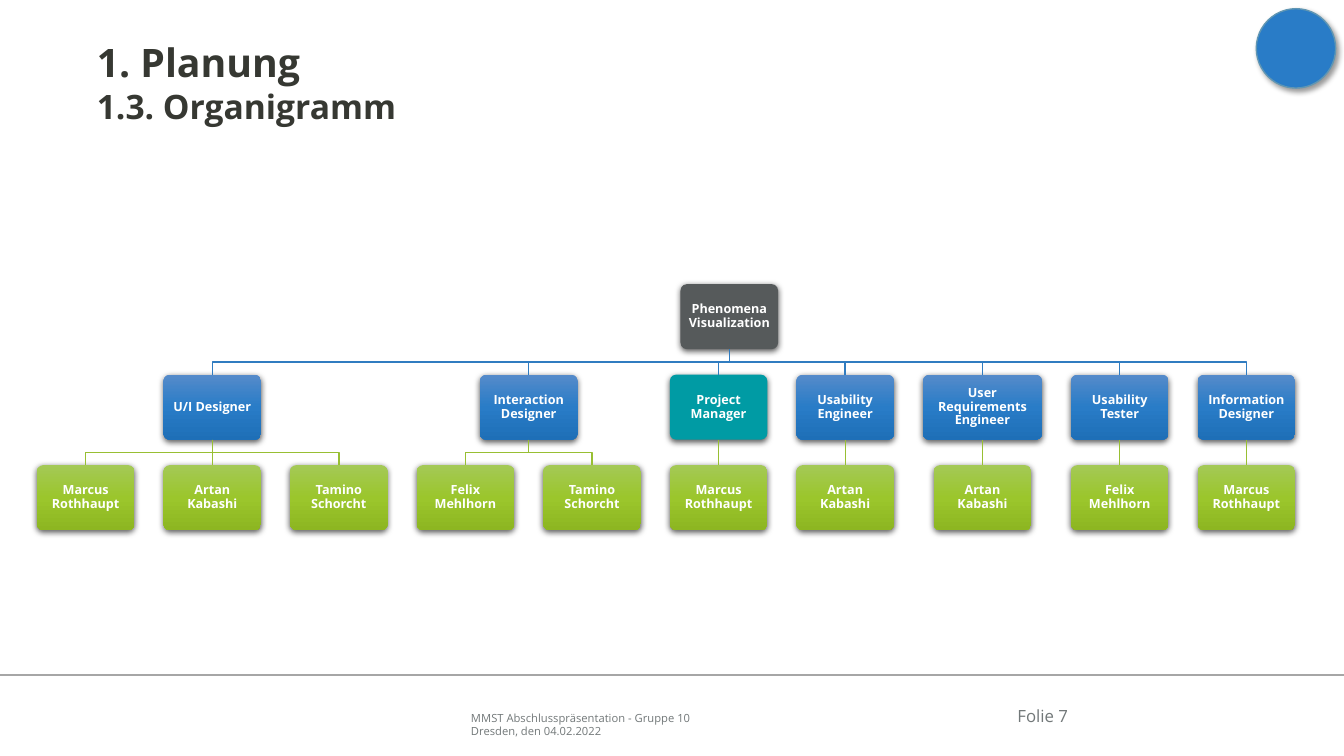
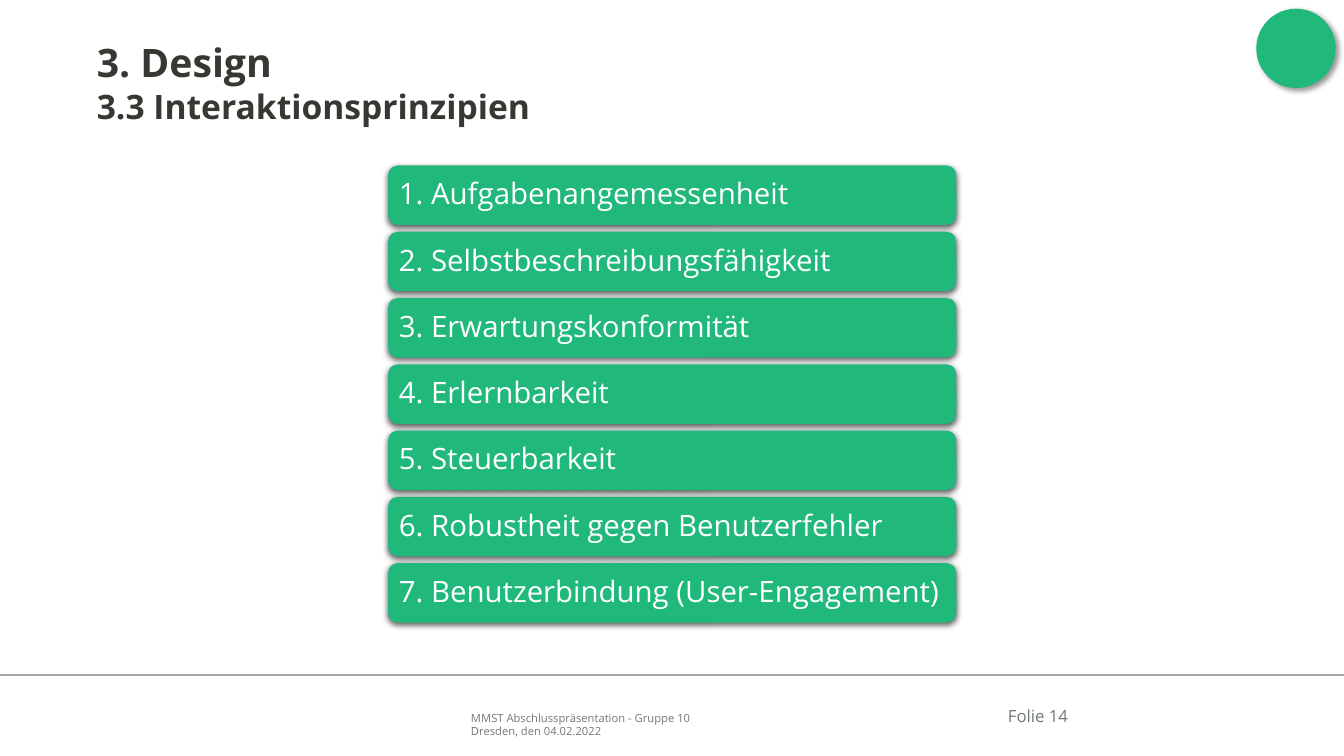
from copy import deepcopy
from dataclasses import dataclass

from lxml.etree import SubElement
from pptx import Presentation
from pptx.dml.color import RGBColor as RGB
from pptx.enum.shapes import MSO_CONNECTOR as LINK, MSO_SHAPE as KIND
from pptx.enum.text import MSO_ANCHOR as ANCHOR, MSO_AUTO_SIZE as FIT, PP_ALIGN as ALIGN
from pptx.oxml.ns import qn
from pptx.util import Cm, Pt


@dataclass(frozen=True)
class Theme:
    font: str = "Open Sans"
    ink: str = "363832"
    soft: str = "727879"
    rule: str = "A6A6A6"
    white: str = "FFFFFF"
    gray: str = "565A5B"
    teal: str = "009BA4"
    mint: str = "20B97B"
    azure: str = "297CC7"
    rim: str = "6096B3"
    wire: str = "307CC0"
    stem: str = "98BF33"
    blue: tuple = ("558BCA", "297CC7", "1E6FB7")
    green: tuple = ("A4C956", "9BC62C", "8DB621")
    head: int = 28
    sub: int = 24
    bar: int = 21
    num: int = 12
    box: int = 9
    foot: int = 8
    lead: float = 1.0
    tight: float = 0.9
    # blur and distance in points, angle in degrees, opacity in percent
    lift: tuple = (4.5, 1.5, 90, 63)
    drop: tuple = (4, 3, 45, 40)


WIDE, HIGH = 33.87, 19.05
FOOT = ("MMST Abschlusspräsentation - Gruppe 10", "Dresden, den 04.02.2022")


class Page:
    def __init__(self, deck, theme):
        self.deck, self.look = deck, theme

    def start(self, head, sub, num, tint, rim=None):
        """Add a slide with its title, footer and corner disc."""
        self.slide = self.deck.slides.add_slide(self.deck.slide_layouts[5])
        self.shapes = self.slide.shapes
        self.title(head, sub)
        self.footer(num)
        self.disc(tint, rim)

    def run(self, para, text, size, tint, bold=False):
        run = para.add_run()
        run.text = text
        font = run.font
        font.name, font.size, font.bold = self.look.font, Pt(size), bold
        font.color.rgb = RGB.from_string(tint)

    def frame(self, shape, anchor, pad=0):
        text = shape.text_frame
        text.word_wrap, text.auto_size = True, FIT.NONE
        text.vertical_anchor = anchor
        text.margin_left = text.margin_right = Cm(pad)
        text.margin_top = text.margin_bottom = Cm(pad)
        return text

    def title(self, head, sub):
        look, shape = self.look, self.shapes.title
        shape.left, shape.top = Cm(2.44), Cm(0.97)
        shape.width, shape.height = Cm(29.4), Cm(2.4)
        para = self.frame(shape, ANCHOR.TOP).paragraphs[0]
        para.alignment, para.line_spacing = ALIGN.LEFT, look.lead
        self.run(para, head, look.head, look.ink, True)
        para.add_line_break()
        self.run(para, sub, look.sub, look.ink, True)

    def note(self, lines, spot, size, align=ALIGN.LEFT):
        shape = self.shapes.add_textbox(*map(Cm, spot))
        text = self.frame(shape, ANCHOR.BOTTOM)
        for i, line in enumerate(lines):
            para = text.add_paragraph() if i else text.paragraphs[0]
            para.alignment, para.line_spacing = align, self.look.lead
            self.run(para, line, size, self.look.soft)

    def footer(self, num):
        look = self.look
        rule = self.shapes.add_connector(LINK.STRAIGHT, 0, Cm(17.01), Cm(WIDE), Cm(17.01))
        self.stroke(rule, look.rule)
        self.note(FOOT, (11.87, 17.9, 10, 0.7), look.foot)
        self.note([f"Folie {num}"], (23.06, 17.78, 3.86, 0.5), look.num, ALIGN.RIGHT)

    def stroke(self, line, tint):
        line.line.color.rgb = RGB.from_string(tint)
        line.line.width = Pt(1)
        SubElement(line._element.spPr, qn("a:effectLst"))

    def shade(self, shape, cast):
        blur, dist, angle, alpha = cast
        shape.shadow.inherit = False
        effect = shape._element.spPr.find(qn("a:effectLst"))
        outer = SubElement(effect, qn("a:outerShdw"), blurRad=str(Pt(blur)),
                           dist=str(Pt(dist)), dir=str(angle * 60000), rotWithShape="0")
        black = SubElement(outer, qn("a:srgbClr"), val="000000")
        SubElement(black, qn("a:alpha"), val=str(alpha * 1000))

    def paint(self, shape, tint):
        """Fill with one colour, or with a tuple of three from top to bottom."""
        fill = shape.fill
        if isinstance(tint, str):
            fill.solid()
            fill.fore_color.rgb = RGB.from_string(tint)
            return
        fill.gradient()
        fill.gradient_angle = 270
        first = shape._element.spPr.find(".//" + qn("a:gs"))
        first.addnext(deepcopy(first))
        for i, stop in enumerate(fill.gradient_stops):
            stop.position = i / 2
            stop.color.rgb = RGB.from_string(tint[i])

    def form(self, kind, spot, tint, cast, rim=None):
        shape = self.shapes.add_shape(kind, *map(Cm, spot))
        self.paint(shape, tint)
        if rim:
            shape.line.color.rgb = RGB.from_string(rim)
            shape.line.width = Pt(1)
        else:
            shape.line.fill.background()
        self.shade(shape, cast)
        return shape

    def disc(self, tint, rim):
        self.form(KIND.OVAL, (31.66, 0.22, 2, 2), tint, self.look.drop, rim)

    def label(self, shape, text, size, pad, align, bold=False):
        para = self.frame(shape, ANCHOR.MIDDLE, pad).paragraphs[0]
        para.alignment, para.line_spacing = align, self.look.tight
        self.run(para, text, size, self.look.white, bold)

    def box(self, text, spot, tint):
        look = self.look
        shape = self.form(KIND.ROUNDED_RECTANGLE, spot, tint, look.lift)
        shape.adjustments[0] = 0.1
        self.label(shape, text, look.box, 0.15, ALIGN.CENTER, True)
        return shape

    def bar(self, text, spot, tint):
        look = self.look
        shape = self.form(KIND.ROUNDED_RECTANGLE, spot, tint, look.lift)
        self.label(shape, text, look.bar, 0.2, ALIGN.LEFT)

    def link(self, top, low, tint):
        """Join the foot of one box to the head of another."""
        x1, y1 = top.left + top.width // 2, top.top + top.height
        x2, y2 = low.left + low.width // 2, low.top
        bent = abs(x2 - x1) > Cm(0.02)
        line = self.shapes.add_connector(LINK.ELBOW if bent else LINK.STRAIGHT, x1, y1, x2, y2)
        line.begin_connect(top, 2)
        line.end_connect(low, 0)
        if bent:
            # The elbow lies sideways by default, so it is turned a quarter
            wide, high = y2 - y1, abs(x2 - x1)
            line.left, line.top = (x1 + x2 - wide) // 2, (y1 + y2 - high) // 2
            line.width, line.height = wide, high
            right = x2 > x1
            form = line._element.spPr.find(qn("a:xfrm"))
            form.set("rot", "16200000" if right else "5400000")
            form.set("flipH", "1" if right else "0")
            form.set("flipV", "0")
        self.stroke(line, tint)


MARCUS, ARTAN = "Marcus Rothhaupt", "Artan Kabashi"
TAMINO, FELIX = "Tamino Schorcht", "Felix Mehlhorn"
TEAM = (
    ("U/I Designer", (MARCUS, ARTAN, TAMINO)),
    ("Interaction Designer", (FELIX, TAMINO)),
    ("Project Manager", (MARCUS,)),
    ("Usability Engineer", (ARTAN,)),
    ("User Requirements Engineer", (ARTAN,)),
    ("Usability Tester", (FELIX,)),
    ("Information Designer", (MARCUS,)),
)
BROAD = {"User Requirements Engineer": 3}
RULES = (
    "Aufgabenangemessenheit",
    "Selbstbeschreibungsfähigkeit",
    "Erwartungskonformität",
    "Erlernbarkeit",
    "Steuerbarkeit",
    "Robustheit gegen Benutzerfehler",
    "Benutzerbindung (User-Engagement)",
)


def chart(page):
    """Draw the tree: each role is centred over its people, the root over all roles."""
    look = page.look
    wide, high, gap = 2.46, 1.64, 0.73
    rows = [7.16 + 2.28 * i for i in range(3)]
    left, mids, roles = 0.93, [], []
    for role, names in TEAM:
        span = len(names) * (wide + gap) - gap
        size = BROAD.get(role, wide)
        slot = max(span, size)
        mid = left + slot / 2
        tint = look.teal if role == "Project Manager" else look.blue
        head = page.box(role, (mid - size / 2, rows[1], size, high), tint)
        for i, name in enumerate(names):
            x = mid - span / 2 + i * (wide + gap)
            leaf = page.box(name, (x, rows[2], wide, high), look.green)
            page.link(head, leaf, look.stem)
        mids.append(mid)
        roles.append(head)
        left += slot + gap
    x = (mids[0] + mids[-1] - wide) / 2
    root = page.box("Phenomena Visualization", (x, rows[0], wide, high), look.gray)
    for head in roles:
        page.link(root, head, look.wire)


def main():
    deck = Presentation()
    deck.slide_width, deck.slide_height = Cm(WIDE), Cm(HIGH)
    look = Theme()
    page = Page(deck, look)

    page.start("1. Planung", "1.3. Organigramm", 7, look.azure, look.rim)
    chart(page)

    page.start("3. Design", "3.3 Interaktionsprinzipien", 14, look.mint)
    for i, rule in enumerate(RULES):
        page.bar(f"{i + 1}. {rule}", (9.78, 4.17 + 1.67 * i, 14.32, 1.5), look.mint)

    deck.save("out.pptx")


if __name__ == "__main__":
    main()
